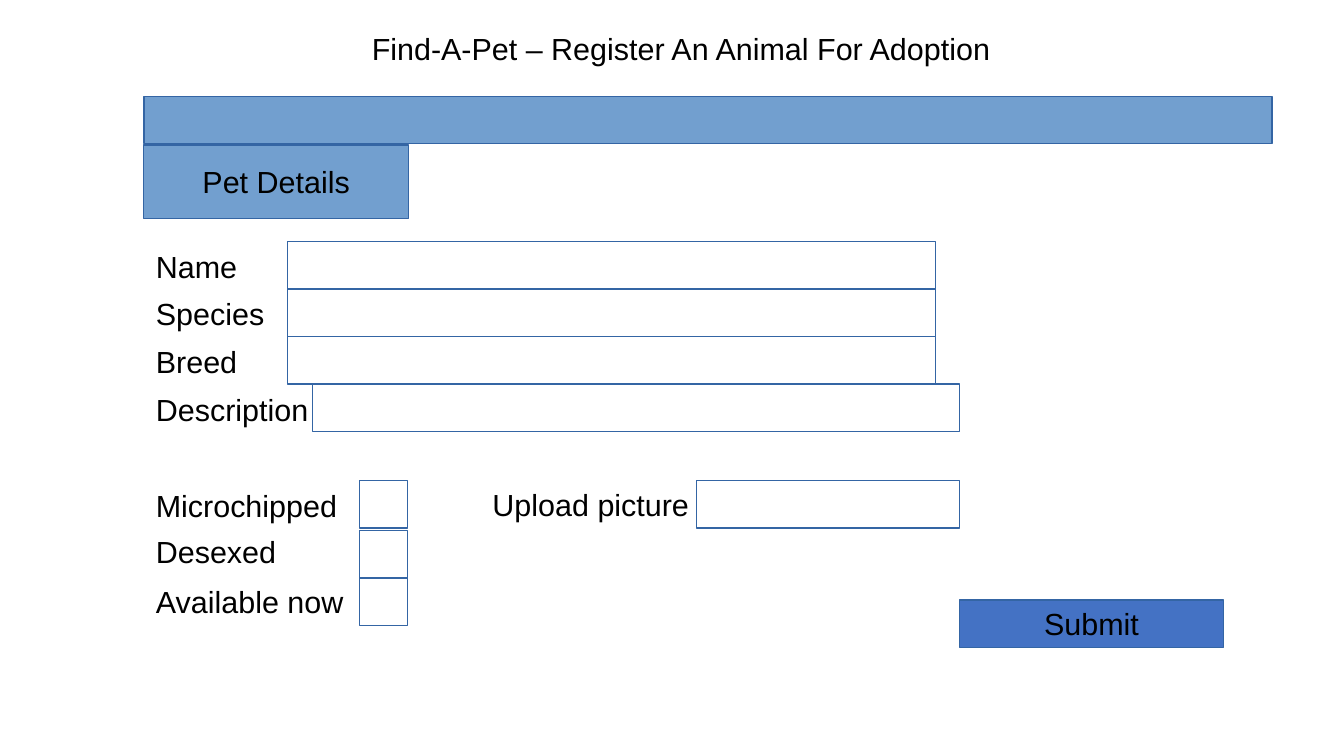
from dataclasses import dataclass

from pptx import Presentation
from pptx.dml.color import RGBColor
from pptx.enum.shapes import MSO_SHAPE
from pptx.enum.text import MSO_ANCHOR, PP_ALIGN
from pptx.util import Inches, Pt


@dataclass(frozen=True)
class Theme:
    font: str = "Arial"
    size: float = 18
    ink: str = "000000"
    paper: str = "FFFFFF"
    banner: str = "729FCF"
    button: str = "4472C4"
    outline: str = "3465A4"
    outline_width: float = 0.75


class FormSlide:
    def __init__(self, prs, theme):
        self.theme = theme
        self.slide = prs.slides.add_slide(prs.slide_layouts[6])

    def set_text(self, sp, text, align, anchor, wrap):
        tf = sp.text_frame
        frame_format = {
            "margin_left": Inches(0.1), "margin_right": Inches(0.1),
            "margin_top": Inches(0.07), "margin_bottom": Inches(0.05),
            "vertical_anchor": anchor, "word_wrap": wrap,
        }
        for name, value in frame_format.items():
            setattr(tf, name, value)
        p = tf.paragraphs[0]
        p.alignment = align
        p.line_spacing = 0.93
        r = p.add_run()
        r.text = text
        r.font.name = self.theme.font
        r.font.size = Pt(self.theme.size)
        r.font.color.rgb = RGBColor.from_string(self.theme.ink)

    def label(self, text, left, top, width, height=0.38):
        sp = self.slide.shapes.add_textbox(*map(Inches, (left, top, width, height)))
        self.set_text(sp, text, PP_ALIGN.LEFT, MSO_ANCHOR.TOP, True)

    def box(self, left, top, width, height=0.39, fill=None, text=None):
        """Outlined rectangle: an empty input by default, a button or tab with text."""
        sp = self.slide.shapes.add_shape(
            MSO_SHAPE.RECTANGLE, *map(Inches, (left, top, width, height)))
        sp.shadow.inherit = False
        sp.fill.solid()
        sp.fill.fore_color.rgb = RGBColor.from_string(fill or self.theme.paper)
        sp.line.color.rgb = RGBColor.from_string(self.theme.outline)
        sp.line.width = Pt(self.theme.outline_width)
        if text:
            self.set_text(sp, text, PP_ALIGN.CENTER, MSO_ANCHOR.MIDDLE, False)


MARGIN = 1.18
FIELD_TOP, FIELD_PITCH, FIELD_WIDTH = 1.98, 0.39, 5.31
FIELDS = [("Name", 2.36), ("Species", 2.36), ("Breed", 2.36), ("Description", 2.56)]
# label, label top, checkbox top
CHECKS = [("Microchipped", 3.95, 3.94), ("Desexed", 4.33, 4.35),
          ("Available now", 4.74, 4.74)]


def main():
    prs = Presentation()
    prs.slide_width, prs.slide_height = Inches(11.02), Inches(6.2)
    theme = Theme()
    s = FormSlide(prs, theme)

    s.label("Find-A-Pet – Register An Animal For Adoption", 2.95, 0.2, 5.31, 1.5)
    s.box(MARGIN, 0.79, 9.25, fill=theme.banner)
    s.box(MARGIN, 1.19, 2.17, 0.6, theme.banner, "Pet Details")

    for i, (name, left) in enumerate(FIELDS):
        top = FIELD_TOP + i * FIELD_PITCH
        s.label(name, MARGIN, top + 0.01, 2.16)
        s.box(left, top, FIELD_WIDTH)

    for name, label_top, box_top in CHECKS:
        s.label(name, MARGIN, label_top, 1.77)
        s.box(2.95, box_top, 0.39)

    s.box(5.71, 3.94, 2.16)
    s.label("Upload picture", 3.94, 3.94, 2.16, 0.86)
    s.box(7.87, 4.92, 2.16, fill=theme.button, text="Submit")

    prs.save("out.pptx")


if __name__ == "__main__":
    main()
